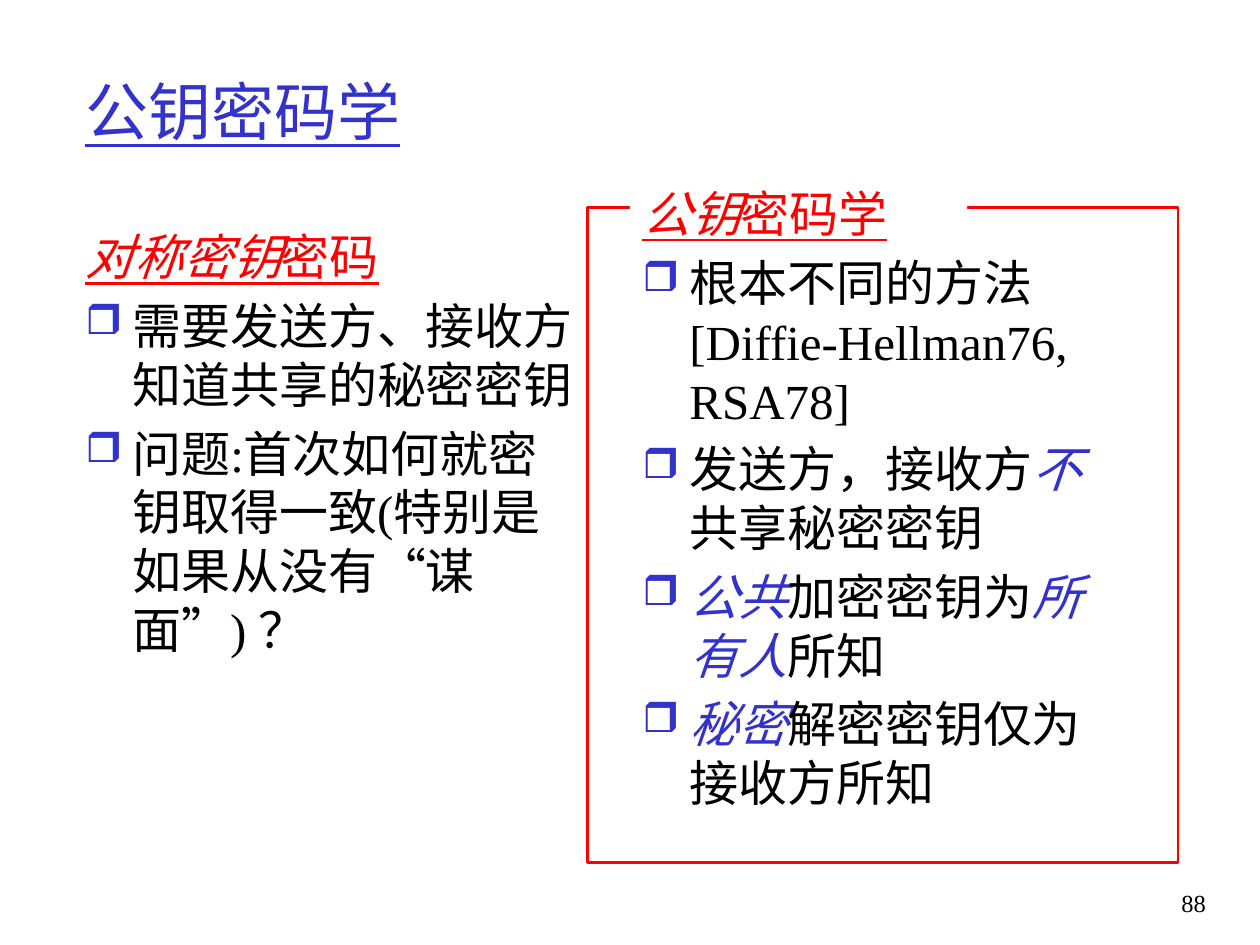
import dataclasses
import typing

import lxml.etree
import pptx
import pptx.dml.color
import pptx.enum.shapes
import pptx.enum.text
import pptx.oxml.ns
import pptx.util

Cm = pptx.util.Cm
Pt = pptx.util.Pt
PP_ALIGN = pptx.enum.text.PP_ALIGN
MSO_ANCHOR = pptx.enum.text.MSO_ANCHOR

BLACK = "000000"
BLUE = "3333CC"
RED = "FF0000"
WHITE = "FFFFFF"
SERIF = "Times New Roman"
QUOTE = "Comic Neue"
HANG = Cm(0.95)


@dataclasses.dataclass(frozen=True)
class Run:
    text: str
    color: str = BLACK
    italic: bool = False
    underline: bool = False
    font: str = SERIF
    size: float = 28


@dataclasses.dataclass(frozen=True)
class Box:
    left: float
    top: float
    width: float
    height: float

    def emu(self) -> tuple:
        return tuple(Cm(v) for v in (self.left, self.top, self.width, self.height))


@dataclasses.dataclass(frozen=True)
class Column:
    box: Box
    heading: list[Run]
    items: list[list[Run]]


def rgb(value: str) -> pptx.dml.color.RGBColor:
    return pptx.dml.color.RGBColor.from_string(value)


def heading(term: str, rest: str) -> list[Run]:
    return [Run(term, RED, True, True), Run(rest, RED, False, True)]


def key(text: str) -> Run:
    return Run(text, BLUE, True)


def add_runs(p: typing.Any, runs: list[Run]) -> None:
    for run in runs:
        r = p.add_run()
        r.text = run.text
        r.font.name = run.font
        r.font.size = Pt(run.size)
        r.font.italic = run.italic
        r.font.underline = run.underline
        r.font.color.rgb = rgb(run.color)


def add_text(s: typing.Any, box: Box) -> typing.Any:
    tf = s.shapes.add_textbox(*box.emu()).text_frame
    tf.word_wrap = True
    return tf


def add_bullet(p: typing.Any) -> None:
    qn = pptx.oxml.ns.qn
    pPr = p._p.get_or_add_pPr()
    pPr.set("marL", str(HANG))
    pPr.set("indent", str(-HANG))
    clr = lxml.etree.SubElement(pPr, qn("a:buClr"))
    lxml.etree.SubElement(clr, qn("a:srgbClr"), val=BLUE)
    lxml.etree.SubElement(pPr, qn("a:buSzPct"), val="85000")
    lxml.etree.SubElement(pPr, qn("a:buChar"), char="❒")


def add_column(s: typing.Any, column: Column) -> None:
    tf = add_text(s, column.box)
    add_runs(tf.paragraphs[0], column.heading)
    for item in column.items:
        p = tf.add_paragraph()
        add_bullet(p)
        p.space_before = Pt(5.6)
        add_runs(p, item)


def add_rect(s: typing.Any, box: Box, line: typing.Optional[str] = None) -> None:
    sp = s.shapes.add_shape(pptx.enum.shapes.MSO_SHAPE.RECTANGLE, *box.emu())
    sp.shadow.inherit = False
    sp.fill.solid()
    sp.fill.fore_color.rgb = rgb(WHITE)
    if line:
        sp.line.color.rgb = rgb(line)
        sp.line.width = Pt(1.5)
    else:
        sp.line.fill.background()


SYMMETRIC = Column(
    Box(1.47, 4.45, 10.6, 12.9),
    heading("对称密钥", "密码"),
    [
        [Run("需要发送方、接收方知道共享的秘密密钥")],
        [
            Run("问题:首次如何就密钥取得一致(特别是如果从没有"),
            Run("“", font=QUOTE),
            Run("谋面"),
            Run("”", font=QUOTE),
            Run(") ？"),
        ],
    ],
)
PUBLIC = Column(
    Box(12.7, 3.58, 10.16, 12.9),
    heading("公钥", "密码学"),
    [
        [Run("根本不同的方法 [Diffie-Hellman76, RSA78]")],
        [Run("发送方，接收方"), key("不"), Run("共享秘密密钥")],
        [key("公共"), Run("加密密钥为"), key("所有人"), Run("所知")],
        [key("秘密"), Run("解密密钥仅为接收方所知")],
    ],
)


def main() -> None:
    prs = pptx.Presentation()
    prs.slide_width = Cm(25.4)
    prs.slide_height = Cm(19.05)
    s = prs.slides.add_slide(prs.slide_layouts[6])

    tf = add_text(s, Box(22.68, 17.78, 1.88, 1.27))
    tf.paragraphs[0].alignment = PP_ALIGN.RIGHT
    add_runs(tf.paragraphs[0], [Run("88", size=14)])

    add_rect(s, Box(11.84, 4.19, 11.91, 13.2), RED)

    tf = add_text(s, Box(1.47, 0.64, 21.59, 3.18))
    tf.vertical_anchor = MSO_ANCHOR.MIDDLE
    add_runs(
        tf.paragraphs[0],
        [Run("公钥密码学", BLUE, underline=True, font="Calibri", size=36)],
    )

    add_column(s, SYMMETRIC)
    add_rect(s, Box(12.7, 3.56, 6.8, 1.4))
    add_column(s, PUBLIC)
    prs.save("out.pptx")


if __name__ == "__main__":
    main()
